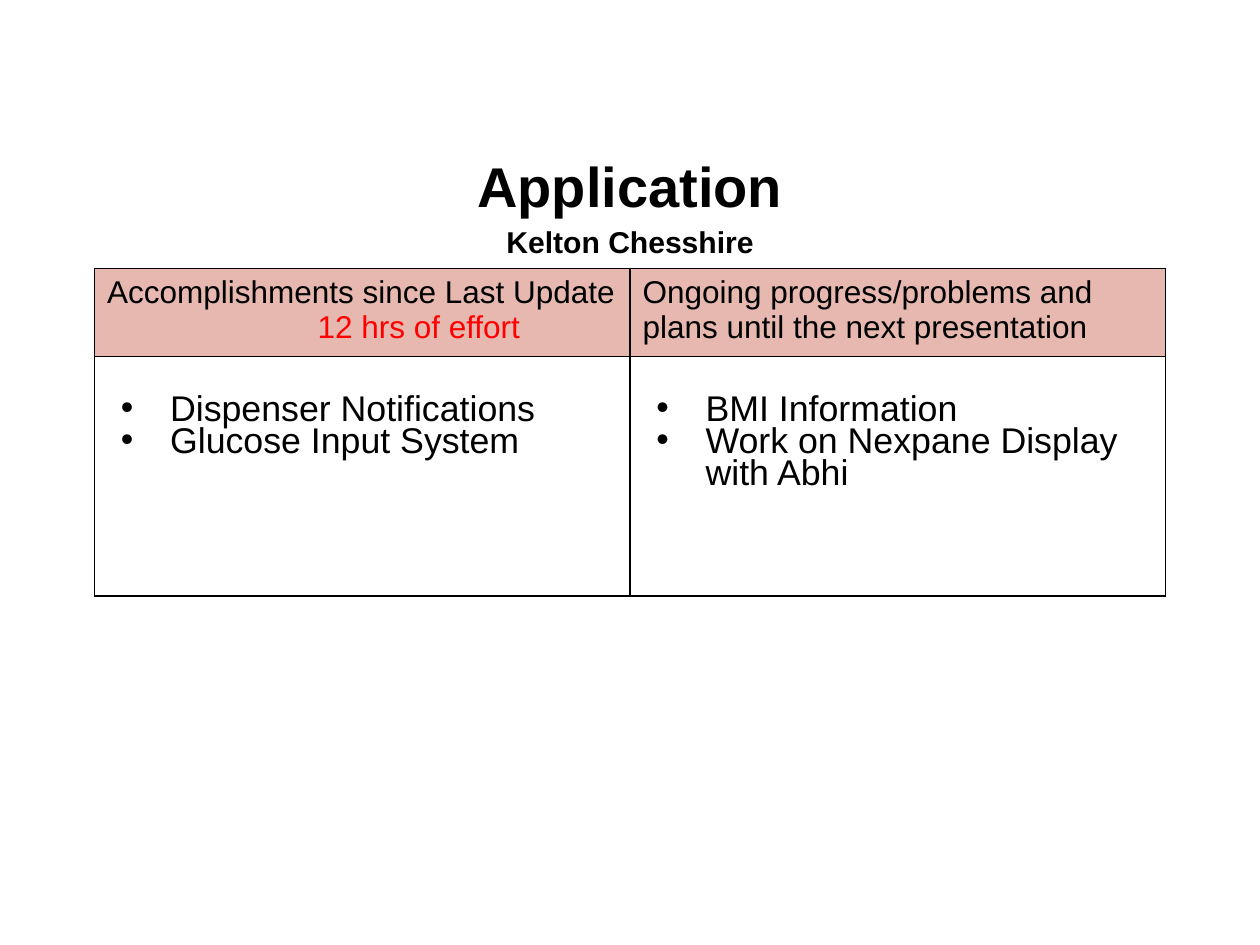
from pptx import Presentation
from pptx.dml.color import RGBColor as RGB
from pptx.enum.text import MSO_ANCHOR as Anchor, PP_ALIGN as Align
from pptx.oxml.ns import qn
from pptx.util import Inches, Pt
from lxml.etree import SubElement as Sub

BLACK = RGB(0x00, 0x00, 0x00)
RED = RGB(0xFF, 0x00, 0x00)
PINK = RGB(0xE6, 0xB8, 0xAF)
FONT = "Arial"

HEADS = [
    [("Accomplishments since Last Update", BLACK, 0), ("12 hrs of effort", RED, 1.67)],
    [("Ongoing progress/problems and plans until the next presentation", BLACK, 0)],
]
LISTS = [
    ["Dispenser Notifications", "Glucose Input System"],
    ["BMI Information", "Work on Nexpane Display with Abhi"],
]


def style(para, size, color=BLACK, bold=False):
    for run in para.runs:
        font = run.font
        font.name, font.size, font.bold = FONT, Pt(size), bold
        font.color.rgb = color


def fill_lines(frame, lines):
    """Write one paragraph per line and return the paragraphs."""
    frame.text = "\n".join(lines)
    return frame.paragraphs


def indent(para, left, first=0, bullet=None):
    props = para._p.get_or_add_pPr()
    props.set("marL", str(Inches(left)))
    props.set("indent", str(Inches(first)))
    if bullet:
        color = Sub(props, qn("a:buClr"))
        Sub(color, qn("a:srgbClr"), val=str(BLACK))
        Sub(props, qn("a:buFont"), typeface=FONT)
        Sub(props, qn("a:buChar"), char=bullet)


def border(cell):
    props = cell._tc.get_or_add_tcPr()
    for side in ("lnL", "lnR", "lnT", "lnB"):
        line = Sub(props, qn("a:" + side), w=str(Pt(1)))
        Sub(Sub(line, qn("a:solidFill")), qn("a:srgbClr"), val=str(BLACK))


def add_title(slide, left, top, width, height):
    box = slide.shapes.add_textbox(left, top, width, height)
    frame = box.text_frame
    frame.word_wrap = True
    frame.vertical_anchor = Anchor.MIDDLE
    paras = fill_lines(frame, ["Application", "Kelton Chesshire"])
    for para, size in zip(paras, (32, 17.2)):
        para.alignment = Align.CENTER
        para.line_spacing = 1.15
        style(para, size, bold=True)


def add_status(slide, left, top, width, rows):
    grid = slide.shapes.add_table(2, 2, left, top, width, sum(rows)).table
    grid.first_row = grid.horz_banding = False
    for row, height in zip(grid.rows, rows):
        row.height = height
    for col in grid.columns:
        col.width = width // 2
    for cell in grid.iter_cells():
        border(cell)
        cell.margin_left = cell.margin_right = Inches(0.1)
        cell.margin_top = cell.margin_bottom = Inches(0.05)

    # Header row
    for col, parts in enumerate(HEADS):
        cell = grid.cell(0, col)
        cell.fill.solid()
        cell.fill.fore_color.rgb = PINK
        paras = fill_lines(cell.text_frame, [part[0] for part in parts])
        for para, (_, color, left) in zip(paras, parts):
            indent(para, left)
            style(para, 18, color)

    # Bullet lists, set one line below the top
    for col, items in enumerate(LISTS):
        cell = grid.cell(1, col)
        cell.fill.background()
        cell.margin_top = Inches(0.31)
        for para in fill_lines(cell.text_frame, items):
            para.line_spacing = 0.8
            indent(para, 0.5, -0.39, "•")
            style(para, 20.4)


def main():
    deck = Presentation()
    deck.slide_width, deck.slide_height = Inches(10), Inches(7.5)
    slide = deck.slides.add_slide(deck.slide_layouts[6])
    add_title(slide, Inches(0.5), Inches(1.15), Inches(9), Inches(0.88))
    add_status(slide, Inches(0.75), Inches(2.13), Inches(8.5),
               [Inches(0.7), Inches(1.9)])
    deck.save("out.pptx")


if __name__ == "__main__":
    main()
